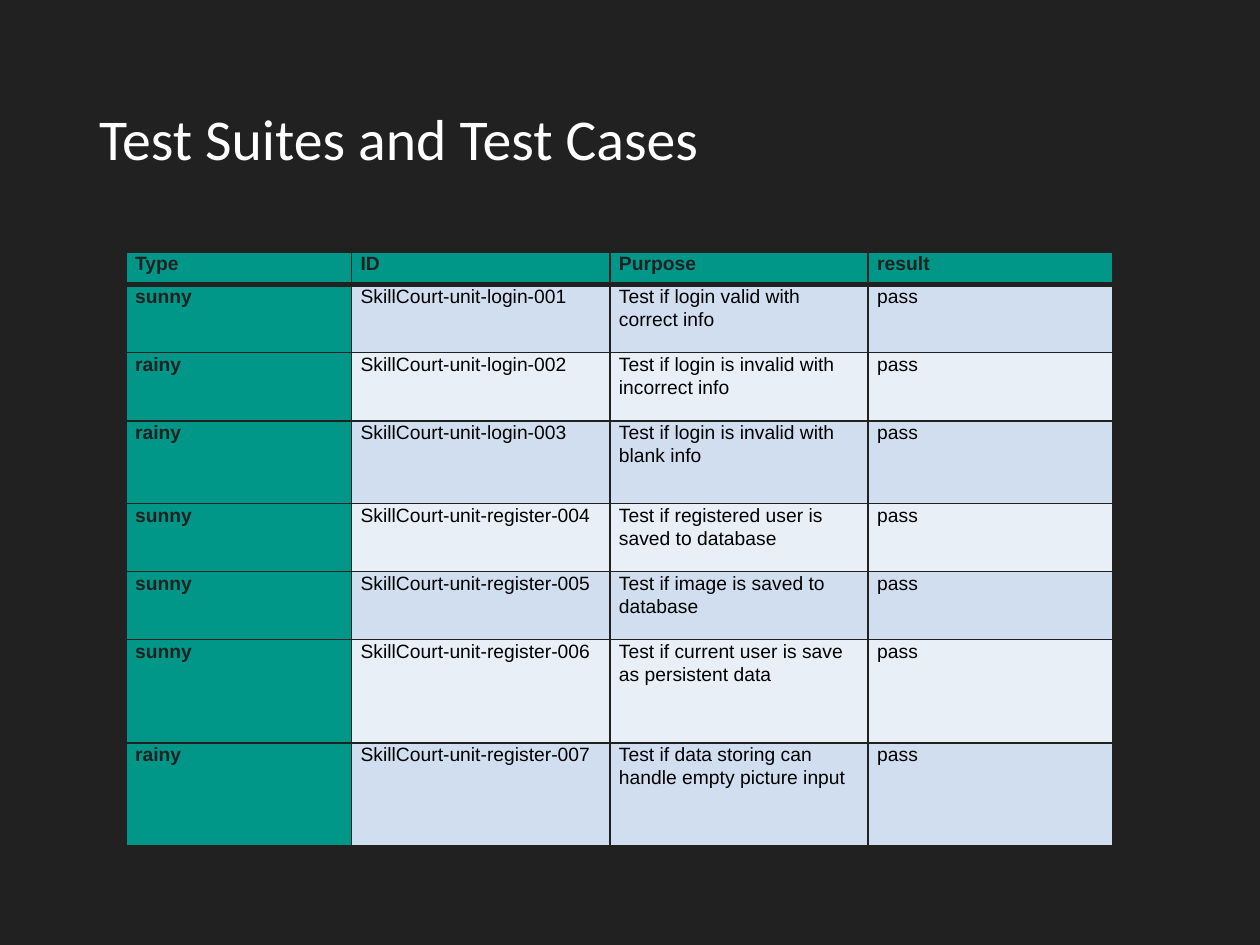
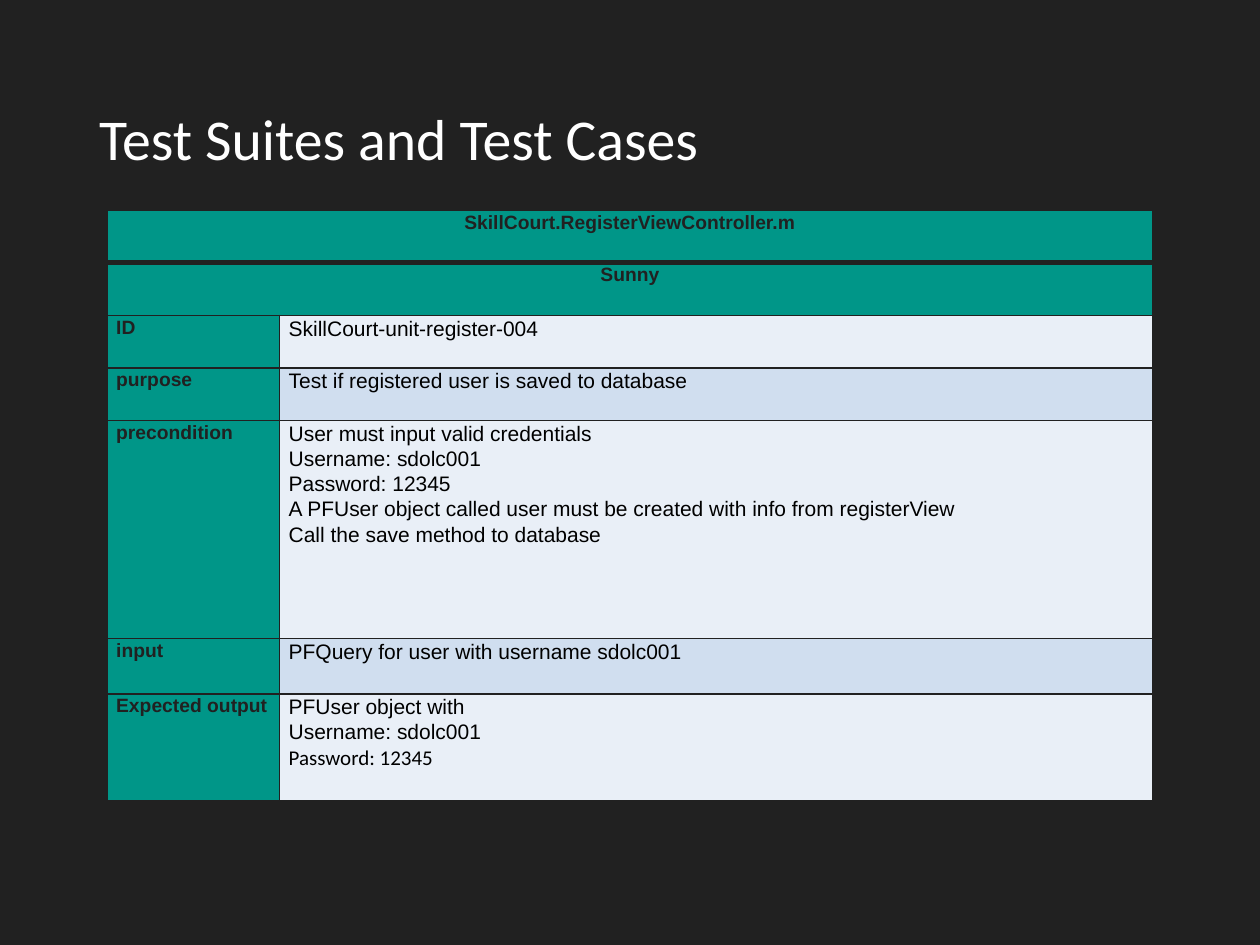
"""Build two slides of unit test tables on a dark background."""
from dataclasses import dataclass

from lxml import etree
from pptx import Presentation
from pptx import slide as sl
from pptx import table as tb
from pptx.dml.color import RGBColor
from pptx.enum import text
from pptx.oxml import ns
from pptx.util import Pt

DARK = RGBColor(0x21, 0x21, 0x21)
TEAL = RGBColor(0x00, 0x96, 0x88)
WHITE = RGBColor(0xFF, 0xFF, 0xFF)
BLACK = RGBColor(0x00, 0x00, 0x00)
BANDS = (RGBColor(0xE9, 0xEF, 0xF7), RGBColor(0xD0, 0xDE, 0xEF))
HEAD_FONT, BODY_FONT = "Calibri", "Arial"
TITLE = "Test Suites and Test Cases"
THIN, THICK = 1, 3


@dataclass
class Grid:
    left: float
    top: float
    cols: list[float]
    heights: list[float]
    rows: list[list[str]]
    body_size: float
    banner_rows: int = 0


SUITE = Grid(
    left=72, top=144, body_size=11,
    cols=[128.9, 147.6, 147.6, 139.7],
    heights=[18.7, 38.9, 38.9, 47.3, 38.9, 38.9, 59, 59],
    rows=[
        ["Type", "ID", "Purpose", "result"],
        ["sunny", "SkillCourt-unit-login-001", "Test if login valid with correct info", "pass"],
        ["rainy", "SkillCourt-unit-login-002", "Test if login is invalid with incorrect info", "pass"],
        ["rainy", "SkillCourt-unit-login-003", "Test if login is invalid with blank info", "pass"],
        ["sunny", "SkillCourt-unit-register-004", "Test if registered user is saved to database", "pass"],
        ["sunny", "SkillCourt-unit-register-005", "Test if image is saved to database", "pass"],
        ["sunny", "SkillCourt-unit-register-006", "Test if current user is save as persistent data", "pass"],
        ["rainy", "SkillCourt-unit-register-007", "Test if data storing can handle empty picture input", "pass"],
    ],
)

CASE = Grid(
    left=61.2, top=120.1, body_size=12, banner_rows=2,
    cols=[98.6, 499],
    heights=[30.1, 30.1, 30.1, 30.1, 124.6, 31.5, 61.2],
    rows=[
        ["SkillCourt.RegisterViewController.m", ""],
        ["Sunny", ""],
        ["ID", "SkillCourt-unit-register-004"],
        ["purpose", "Test if registered user is saved to database"],
        ["precondition", "User must input valid credentials\nUsername: sdolc001\nPassword: 12345\n"
         "A PFUser object called user must be created with info from registerView\n"
         "Call the save method to database"],
        ["input", "PFQuery for user with username sdolc001"],
        ["Expected output", "PFUser object with\nUsername: sdolc001\nPassword: 12345"],
    ],
)


def write(tf: text.MSO_ANCHOR, content: str, *, size: float, color: RGBColor,
          font: str = BODY_FONT, bold: bool = False, spacing: float = 1.07,
          align: text.PP_ALIGN = text.PP_ALIGN.LEFT) -> None:
    tf.text = content
    for p in tf.paragraphs:
        p.alignment, p.line_spacing = align, spacing
        for r in p.runs:
            r.font.name, r.font.size, r.font.bold = font, Pt(size), bold
            r.font.color.rgb = color


def add_borders(cell: tb._Cell, top: float, bottom: float) -> None:
    pr = cell._tc.get_or_add_tcPr()
    widths = {"a:lnL": THIN, "a:lnR": THIN, "a:lnT": top, "a:lnB": bottom}
    for i, (tag, width) in enumerate(widths.items()):
        ln = etree.Element(ns.qn(tag), w=str(Pt(width)))
        fill = etree.SubElement(ln, ns.qn("a:solidFill"))
        etree.SubElement(fill, ns.qn("a:srgbClr"), val=str(DARK))
        pr.insert(i, ln)


def add_grid(s: sl.Slide, g: Grid) -> tb.Table:
    t = s.shapes.add_table(len(g.rows), len(g.cols), Pt(g.left), Pt(g.top),
                           Pt(sum(g.cols)), Pt(sum(g.heights))).table
    for col, width in zip(t.columns, g.cols):
        col.width = Pt(width)
    for i, (row, height) in enumerate(zip(g.rows, g.heights)):
        t.rows[i].height = Pt(height)
        banner = i < g.banner_rows
        for j, content in enumerate(row):
            cell = t.cell(i, j)
            label = i == 0 or j == 0 or banner
            cell.margin_left = cell.margin_right = Pt(5.2)
            cell.margin_top = cell.margin_bottom = 0
            cell.fill.solid()
            cell.fill.fore_color.rgb = TEAL if label else BANDS[i % 2]
            add_borders(cell, THICK if i == 1 else THIN, THICK if i == 0 else THIN)
            write(cell.text_frame, content, size=11 if label else g.body_size,
                  color=DARK if label else BLACK, bold=label,
                  align=text.PP_ALIGN.CENTER if banner else text.PP_ALIGN.LEFT)
        if banner:
            t.cell(i, 0).merge(t.cell(i, len(row) - 1))
    return t


def add_slide(prs: Presentation, g: Grid) -> tb.Table:
    s = prs.slides.add_slide(prs.slide_layouts.get_by_name("Title Only"))
    sp = s.shapes.title
    sp.left, sp.top, sp.width, sp.height = Pt(49.5), Pt(28.8), Pt(621), Pt(104.4)
    tf = sp.text_frame
    tf.auto_size = text.MSO_AUTO_SIZE.NONE
    tf.vertical_anchor = text.MSO_ANCHOR.MIDDLE
    write(tf, TITLE, size=33, color=WHITE, font=HEAD_FONT, spacing=0.9)
    return add_grid(s, g)


def main() -> None:
    prs = Presentation()
    prs.slide_width, prs.slide_height = Pt(720), Pt(540)
    fill = prs.slide_master.background.fill
    fill.solid()
    fill.fore_color.rgb = DARK
    add_slide(prs, SUITE)
    case = add_slide(prs, CASE)
    password = case.cell(len(CASE.rows) - 1, 1).text_frame.paragraphs[-1]
    password.runs[0].font.name = HEAD_FONT
    prs.save("out.pptx")


if __name__ == "__main__":
    main()
